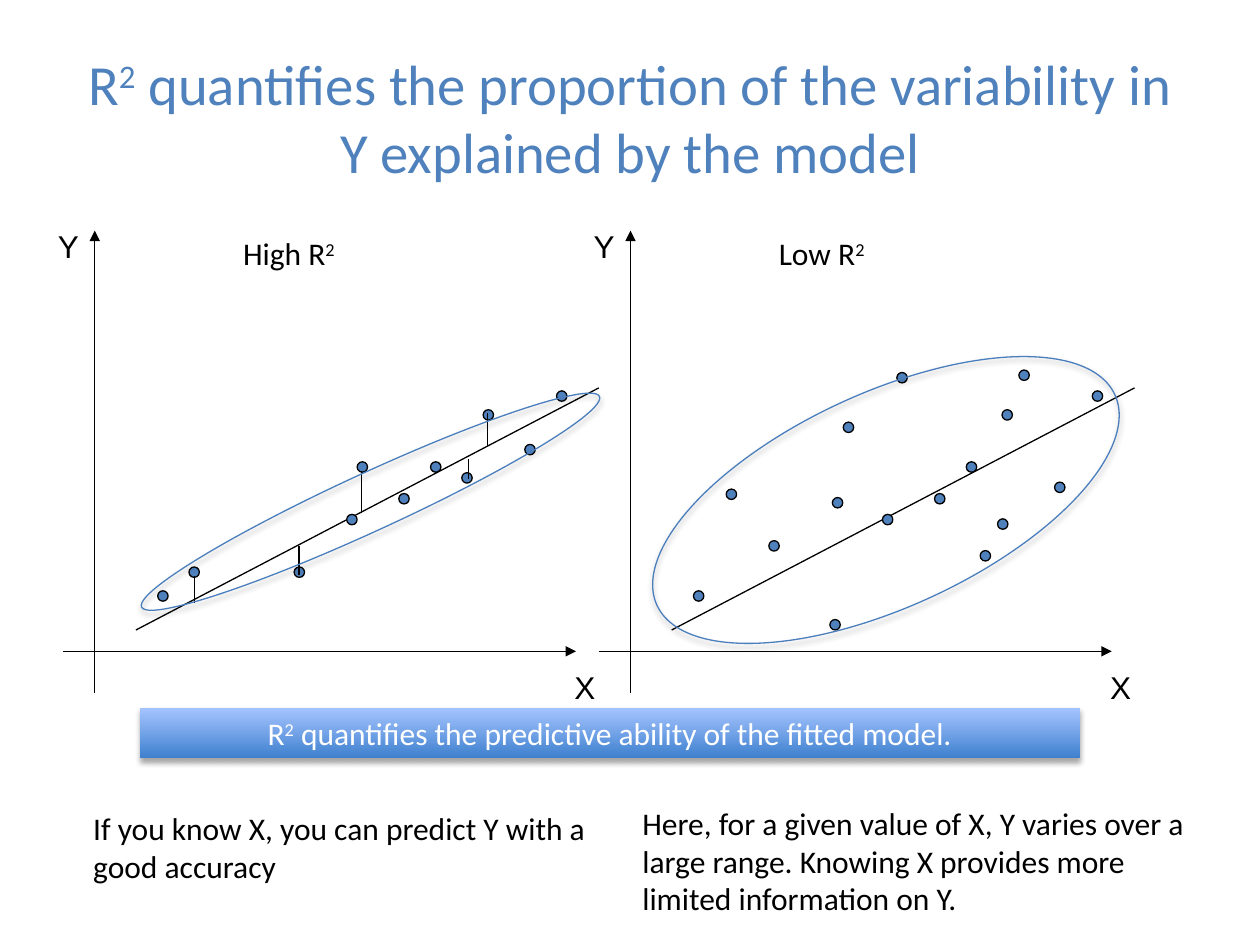
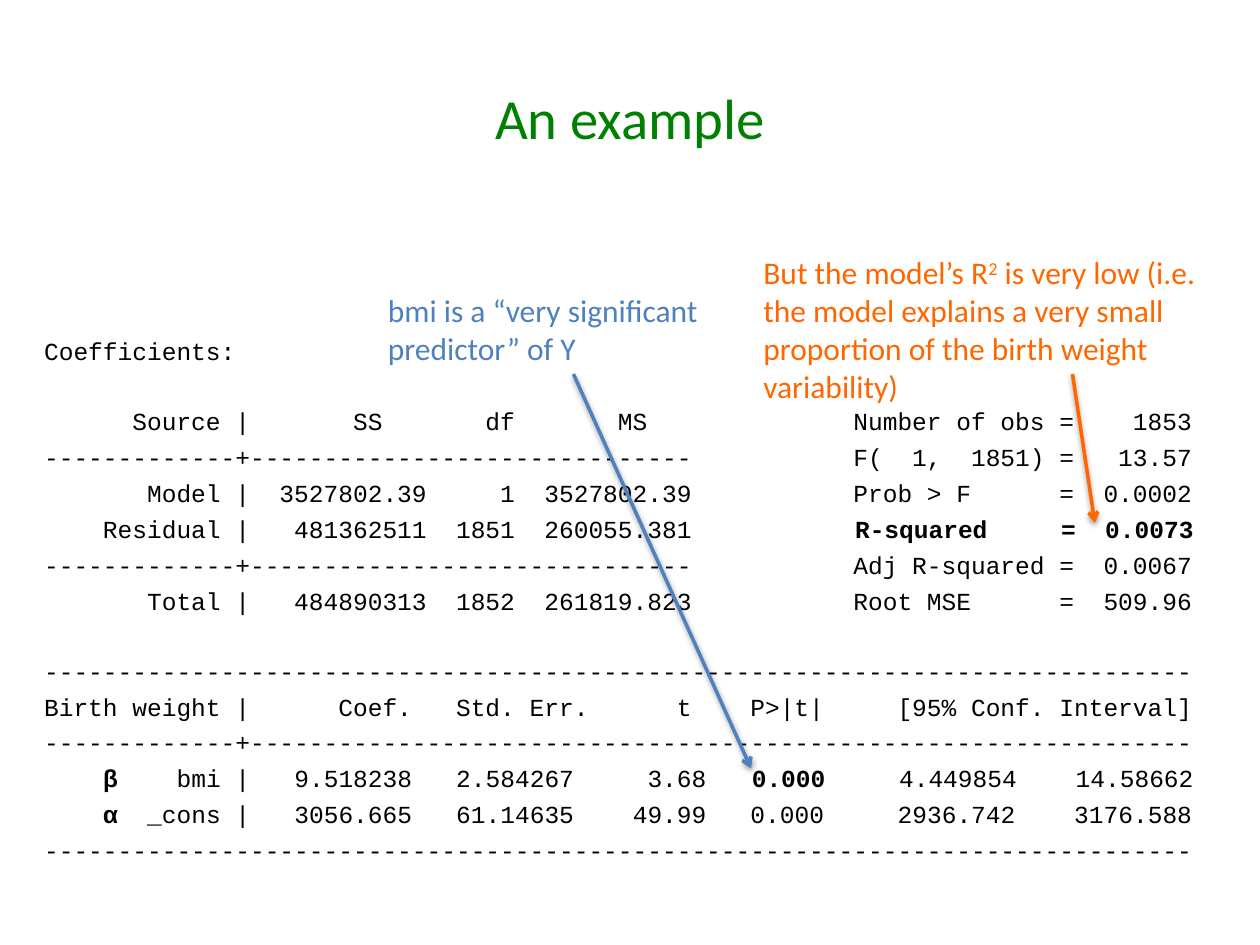
"""Build two slides on R² as a measure of the predictive ability of a model."""
from dataclasses import dataclass

from lxml import etree
from pptx import Presentation
from pptx.dml.color import RGBColor
from pptx.enum.shapes import MSO_CONNECTOR, MSO_SHAPE
from pptx.enum.text import MSO_ANCHOR, MSO_AUTO_SIZE, PP_ALIGN
from pptx.oxml.ns import qn
from pptx.util import Cm, Pt

STRAIGHT = MSO_CONNECTOR.STRAIGHT
OVAL, RECTANGLE = MSO_SHAPE.OVAL, MSO_SHAPE.RECTANGLE
LEFT, CENTER = PP_ALIGN.LEFT, PP_ALIGN.CENTER
TOP, MIDDLE = MSO_ANCHOR.TOP, MSO_ANCHOR.MIDDLE
NO_AUTOFIT = MSO_AUTO_SIZE.NONE


@dataclass(frozen=True)
class Theme:
    ink: RGBColor = RGBColor(0, 0, 0)
    white: RGBColor = RGBColor(255, 255, 255)
    blue: RGBColor = RGBColor.from_string("4F81BD")
    outline: RGBColor = RGBColor.from_string("4B7EBC")
    band_dark: RGBColor = RGBColor.from_string("3F80CE")
    band_light: RGBColor = RGBColor.from_string("A4C4FF")
    green: RGBColor = RGBColor.from_string("008000")
    orange: RGBColor = RGBColor.from_string("FF6600")
    font: str = "Calibri"
    axis_font: str = "Arial"
    code_font: str = "Courier New"
    title_size: float = 32.4
    text_size: float = 18
    code_size: float = 14
    thin: float = 0.75
    thick: float = 2


THEME = Theme()


def write(text, shape, font=THEME.font, size=THEME.text_size, color=THEME.ink,
          align=LEFT, anchor=TOP, line_gap=0, block_gap=0):
    """Fill a shape; ^ marks superscript, * marks bold, a blank line starts a block."""
    frame = shape.text_frame
    frame.word_wrap = True
    frame.auto_size = NO_AUTOFIT
    frame.vertical_anchor = anchor
    paragraph = None
    for block in text.split("\n\n"):
        for line_number, line in enumerate(block.split("\n")):
            if paragraph is None:
                paragraph = frame.paragraphs[0]
            else:
                paragraph = frame.add_paragraph()
                paragraph.space_before = Pt(line_gap if line_number else block_gap)
            paragraph.alignment = align
            for bold_index, part in enumerate(line.split("*")):
                for raised_index, piece in enumerate(part.split("^")):
                    if not piece:
                        continue
                    run = paragraph.add_run()
                    run.text = piece
                    run.font.name = font
                    run.font.size = Pt(size)
                    run.font.color.rgb = color
                    run.font.bold = bold_index % 2 == 1
                    if raised_index % 2:
                        run._r.get_or_add_rPr().set("baseline", "30000")


def draw_line(slide, start, end, color=THEME.ink, width=THEME.thin, arrow=None, shadow=False):
    """Draw a straight line, with an optional arrowhead at its end."""
    line = slide.shapes.add_connector(STRAIGHT, *map(Cm, start + end))
    line.line.color.rgb = color
    line.line.width = Pt(width)
    properties = line._element.spPr
    if arrow:
        etree.SubElement(properties.find(qn("a:ln")), qn("a:tailEnd"), type=arrow)
    if not shadow:
        etree.SubElement(properties, qn("a:effectLst"))


deck = Presentation()
deck.slide_width, deck.slide_height = Cm(25.4), Cm(19.05)
title_only = deck.slide_layouts[5]

comparison = deck.slides.add_slide(title_only)
example = deck.slides.add_slide(title_only)
headings = [
    (comparison, "R^2^ quantifies the proportion of the variability in Y explained by the model", THEME.blue),
    (example, "An example", THEME.green),
]
for slide, heading, color in headings:
    title = slide.shapes.title
    title.left, title.top, title.width, title.height = map(Cm, (1.27, 0.76, 22.86, 3.18))
    write(heading, title, size=THEME.title_size, color=color, align=CENTER, anchor=MIDDLE)

PANEL_STEP = 10.8
DOT = 0.21
panels = [
    {
        "name": "High R^2^",
        "cloud": (2.39, 9.53, 10.16, 1.17),
        "dots": [(3.18, 11.91), (3.81, 11.43), (5.93, 11.43), (6.99, 10.37), (7.2, 9.31),
                 (8.68, 9.31), (8.04, 9.95), (9.31, 9.53), (9.74, 8.26), (10.58, 8.96),
                 (11.22, 7.88)],
        "residuals": [(3.92, 11.62, 12.16), (6.03, 11, 11.59), (7.29, 9.5, 10.34),
                      (9.83, 8.33, 9), (9.45, 9.25, 9.65)],
    },
    {
        "name": "Low R^2^",
        "cloud": (1.98, 7.92, 10.16, 4.32),
        "dots": [(3.18, 11.91), (3.84, 9.86), (5.93, 12.49), (6.99, 10.37), (7.28, 7.51),
                 (8.68, 9.31), (8.04, 9.95), (9.31, 10.46), (9.74, 7.46), (10.46, 9.72),
                 (11.22, 7.88), (8.96, 11.1), (9.4, 8.26), (4.7, 10.9), (5.98, 10.03),
                 (6.2, 8.51)],
        "residuals": [],
    },
]
for panel_number, panel in enumerate(panels):
    origin = panel_number * PANEL_STEP
    draw_line(comparison, (origin + 1.91, 13.97), (origin + 1.91, 4.65), arrow="triangle")
    draw_line(comparison, (origin + 1.27, 13.13), (origin + 11.61, 13.13), arrow="triangle")
    draw_line(comparison, (origin + 2.74, 12.7), (origin + 12.07, 7.82))

    for x, y in panel["dots"]:
        dot = comparison.shapes.add_shape(OVAL, Cm(origin + x), Cm(y), Cm(DOT), Cm(DOT))
        dot.shadow.inherit = False
        dot.fill.solid()
        dot.fill.fore_color.rgb = THEME.blue
        dot.line.color.rgb = THEME.ink
        dot.line.width = Pt(THEME.thin)

    for x, top, bottom in panel["residuals"]:
        draw_line(comparison, (origin + x, top), (origin + x, bottom))

    labels = [
        ("X", (11.33, 13.34, 2.34, 1.27), THEME.axis_font, LEFT),
        ("Y", (0.21, 4.45, 2.34, 1.27), THEME.axis_font, CENTER),
        (panel["name"], (4.65, 4.6, 2.77, 1.55), THEME.font, LEFT),
    ]
    for text, (x, y, width, height), font, align in labels:
        label = comparison.shapes.add_textbox(Cm(origin + x), Cm(y), Cm(width), Cm(height))
        write(text, label, font=font, align=align)

    x, y, width, height = panel["cloud"]
    cloud = comparison.shapes.add_shape(OVAL, Cm(origin + x), Cm(y), Cm(width), Cm(height))
    cloud.rotation = 335.3
    cloud.fill.background()
    cloud.line.color.rgb = THEME.outline
    cloud.line.width = Pt(THEME.thin)

conclusion = comparison.shapes.add_shape(RECTANGLE, *map(Cm, (2.82, 14.27, 18.95, 1.02)))
conclusion.fill.gradient()
conclusion.fill.gradient_angle = 90
for stop, color in zip(conclusion.fill.gradient_stops, (THEME.band_dark, THEME.band_light)):
    stop.color.rgb = color
conclusion.line.fill.background()
write("R^2^ quantifies the predictive ability of the fitted model.", conclusion,
      color=THEME.white, align=CENTER, anchor=MIDDLE)

full_rule = "-" * 78
variance_rule = "-" * 13 + "+" + "-" * 30
coefficient_rule = "-" * 13 + "+" + "-" * 64
variance_lines = [
    "      Source |       SS       df       MS              Number of obs =    1853",
    variance_rule + "           F(  1,  1851) =   13.57",
    "       Model |  3527802.39     1  3527802.39           Prob > F      =  0.0002",
    "    Residual |   481362511  1851  260055.381           *R-squared     =  0.0073*",
    variance_rule + "           Adj R-squared =  0.0067",
    "       Total |   484890313  1852  261819.823           Root MSE      =  509.96",
]
coefficient_lines = [
    full_rule,
    "Birth weight |      Coef.   Std. Err.      t    P>|t|     [95% Conf. Interval]",
    coefficient_rule,
    "    *β*    bmi |   9.518238   2.584267     3.68   *0.000*     4.449854    14.58662",
    "    *α*  _cons |   3056.665   61.14635    49.99   0.000     2936.742    3176.588",
    full_rule,
]
regression_blocks = ["Coefficients:", "\n".join(variance_lines), "\n".join(coefficient_lines)]
listing = example.shapes.add_textbox(*map(Cm, (0.64, 6.65, 24.46, 6.2)))
write("\n\n".join(regression_blocks), listing, font=THEME.code_font, size=THEME.code_size,
      line_gap=3.7, block_gap=23.2)

remarks = [
    (comparison, "If you know X, you can predict Y with a good accuracy",
     (1.63, 16.18, 10.44, 1.8), THEME.ink),
    (comparison, "Here, for a given value of X, Y varies over a large range. "
     "Knowing X provides more limited information on Y.",
     (12.7, 16.08, 11.76, 2.57), THEME.ink),
    (example, "bmi is a “very significant predictor” of Y",
     (7.57, 5.74, 6.83, 1.8), THEME.blue),
    (example, "But the model’s R^2^ is very low (i.e. the model explains a very small "
     "proportion of the birth weight variability)",
     (15.14, 4.98, 9.96, 3.33), THEME.orange),
]
for slide, text, place, color in remarks:
    remark = slide.shapes.add_textbox(*map(Cm, place))
    write(text, remark, color=color)

pointers = [
    ((11.56, 7.54), (15.14, 15.49), THEME.blue),
    ((21.62, 7.54), (22.07, 10.54), THEME.orange),
]
for start, end, color in pointers:
    draw_line(example, start, end, color=color, width=THEME.thick, arrow="arrow", shadow=True)

deck.save("out.pptx")
